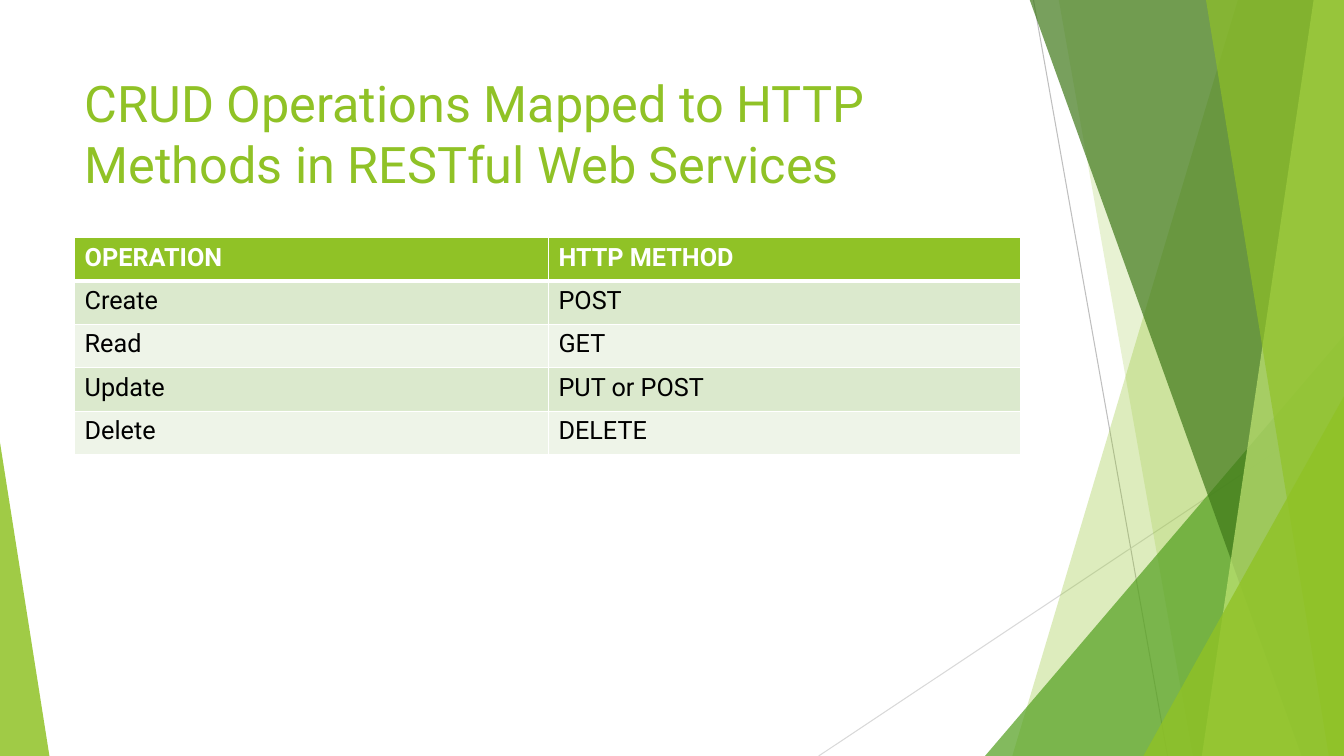
from dataclasses import dataclass

from lxml.etree import SubElement
from pptx import Presentation
from pptx.dml.color import RGBColor
from pptx.enum.shapes import MSO_CONNECTOR, MSO_SHAPE
from pptx.enum.text import MSO_ANCHOR, MSO_AUTO_SIZE, PP_ALIGN
from pptx.oxml import parse_xml
from pptx.oxml.ns import nsdecls, qn
from pptx.util import Inches, Pt


@dataclass(frozen=True)
class Theme:
    """Colours, font and type sizes of the slide."""
    lime: str = "90C226"
    green: str = "54A021"
    dark: str = "3F7819"
    pale: str = "C0E474"
    white: str = "FFFFFF"
    black: str = "000000"
    bands: tuple = ("DBE9CD", "EEF4E8")
    font: str = "Roboto"
    head: int = 36
    body: int = 18


T = Theme()
WIDE, HIGH, TOP = 13.33, 7.5, -0.01

TITLE = "CRUD Operations Mapped to HTTP Methods in RESTful Web Services"
ROWS = [
    ("OPERATION", "HTTP METHOD"),
    ("Create", "POST"),
    ("Read", "GET"),
    ("Update", "PUT or POST"),
    ("Delete", "DELETE"),
]
COLS, ROW = (4.7, 4.68), 0.43

# start x, y, end x, y, colour
LINES = [
    (10.25, 0, 11.58, HIGH, "BFBFBF"),
    (WIDE, 4.03, 8.12, HIGH, "D9D9D9"),
]
# Back to front. Wedges: top x, bottom x; peaks: left, top, width, tip
FACETS = [
    ("wedge", (12.28, 10.04), T.lime, 30),
    ("wedge", (10.5, 11.83), T.lime, 20),
    ("peak", (9.77, 3.33, 3.56, 1), T.green, 72),
    ("wedge", (10.21, 12.91), T.dark, 70),
    ("wedge", (13.03, 11.92), T.pale, 70),
    ("wedge", (11.96, 13.18), T.lime, 65),
    ("peak", (11.34, 3.93, 1.99, 1), T.lime, 80),
    ("peak", (0, 4.39, 0.49, 0), T.lime, 85),
]


def write(frame, text, size=T.body, color=T.black, bold=False):
    """Put left-aligned text in a frame with the given format."""
    frame.text = text
    para = frame.paragraphs[0]
    para.alignment = PP_ALIGN.LEFT
    font = para.runs[0].font
    font.name, font.size, font.bold = T.font, Pt(size), bold
    font.color.rgb = RGBColor.from_string(color)


def paint(shape, color, alpha):
    """Fill a shape with a see-through colour, without line or shadow."""
    shape.shadow.inherit = False
    shape.fill.solid()
    shape.fill.fore_color.rgb = RGBColor.from_string(color)
    shape.line.fill.background()
    tint = next(shape.element.iter(qn("a:srgbClr")))
    SubElement(tint, qn("a:alpha"), val=str(alpha * 1000))


def wedge(shapes, top, base):
    """Draw a full-height facet from a slanted side to the right edge."""
    points = [(top, TOP), (WIDE, TOP), (WIDE, HIGH), (base, HIGH)]
    spots = [(Inches(x), Inches(y)) for x, y in points]
    build = shapes.build_freeform(*spots[0])
    build.add_line_segments(spots[1:], close=True)
    return build.convert_to_shape()


def peak(shapes, left, top, width, tip):
    """Draw a right triangle standing on the bottom edge."""
    box = map(Inches, (left, top, width, HIGH - top))
    shape = shapes.add_shape(MSO_SHAPE.ISOSCELES_TRIANGLE, *box)
    shape.adjustments[0] = tip
    return shape


def decor(shapes):
    """Draw the thin lines and the green facets."""
    for *ends, color in LINES:
        line = shapes.add_connector(MSO_CONNECTOR.STRAIGHT, *map(Inches, ends))
        line.line.color.rgb = RGBColor.from_string(color)
        line.line.width = Pt(0.75)
        SubElement(line.element.spPr, qn("a:effectLst"))
    draw = {"wedge": wedge, "peak": peak}
    for kind, place, color, alpha in FACETS:
        paint(draw[kind](shapes, *place), color, alpha)


def edge(cell, **widths):
    """Give a cell white borders; widths in points by side."""
    props = cell._tc.get_or_add_tcPr()
    for spot, side in enumerate("LRTB"):
        width = Pt(widths.get(side, 1))
        props.insert(spot, parse_xml(
            f'<a:ln{side} {nsdecls("a")} w="{width}"><a:solidFill>'
            f'<a:srgbClr val="{T.white}"/></a:solidFill></a:ln{side}>'))


def grid(shapes):
    """Build the table of operations and methods."""
    box = map(Inches, (0.74, 2.36, sum(COLS), ROW * len(ROWS)))
    table = shapes.add_table(len(ROWS), len(COLS), *box).table
    for col, width in zip(table.columns, COLS):
        col.width = Inches(width)
    for r, words in enumerate(ROWS):
        table.rows[r].height = Inches(ROW)
        top = r == 0
        for c, word in enumerate(words):
            cell = table.cell(r, c)
            write(cell.text_frame, word, bold=top,
                  color=T.white if top else T.black)
            cell.fill.solid()
            fill = T.lime if top else T.bands[(r - 1) % 2]
            cell.fill.fore_color.rgb = RGBColor.from_string(fill)
            edge(cell, B=3 if top else 1, T=3 if r == 1 else 1)


def head(shapes):
    """Place the title in front of the facets."""
    title = shapes.title
    title.left, title.top = Inches(0.74), Inches(0.67)
    title.width, title.height = Inches(9.4), Inches(1.44)
    frame = title.text_frame
    write(frame, TITLE, size=T.head, color=T.lime)
    frame.word_wrap = True
    frame.auto_size = MSO_AUTO_SIZE.NONE
    frame.vertical_anchor = MSO_ANCHOR.TOP
    title.element.getparent().append(title.element)


deck = Presentation()
deck.slide_width, deck.slide_height = Inches(WIDE), Inches(HIGH)
slide = deck.slides.add_slide(deck.slide_layouts[5])
decor(slide.shapes)
head(slide.shapes)
grid(slide.shapes)
deck.save("out.pptx")
